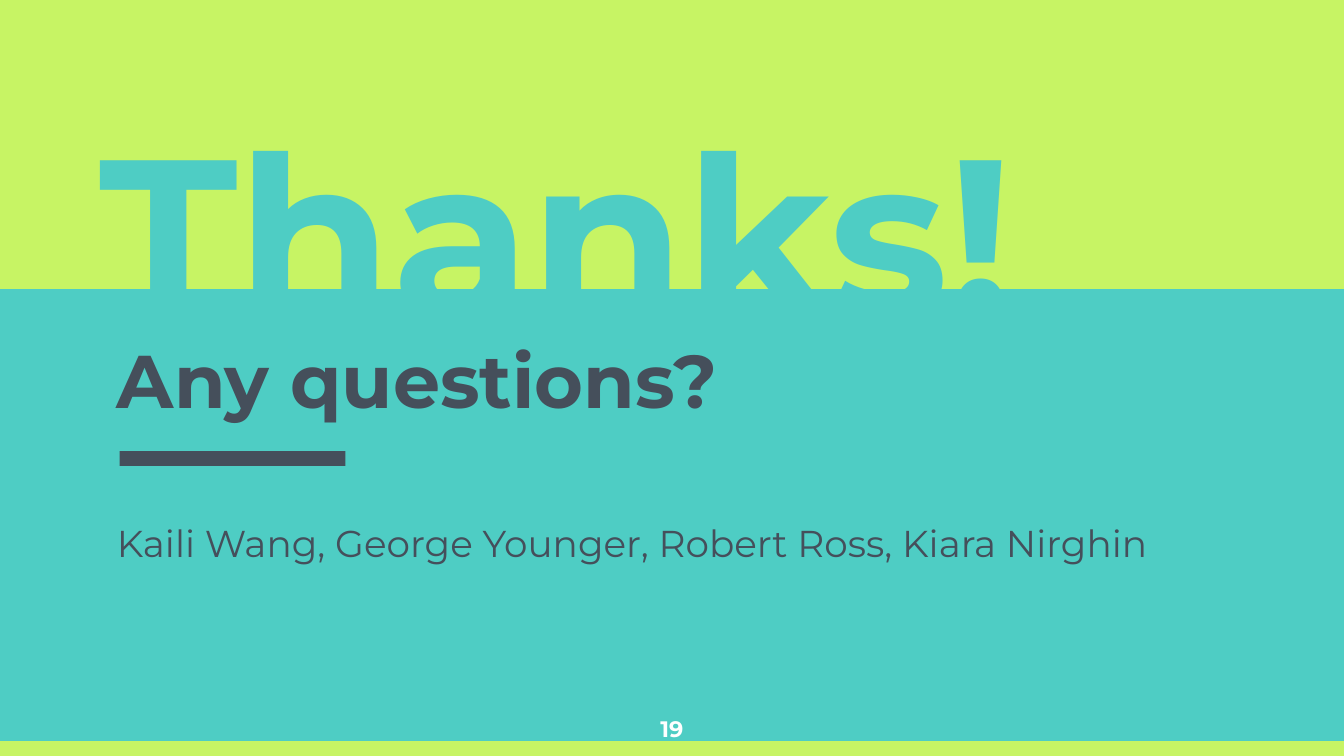
from typing import NamedTuple

from pptx import Presentation
from pptx.dml.color import RGBColor
from pptx.enum.shapes import MSO_SHAPE
from pptx.enum.text import MSO_ANCHOR as Anchor, MSO_AUTO_SIZE as AutoSize, PP_ALIGN as Align
from pptx.util import Cm, Pt

COLORS = {"teal": "4ECDC4", "lime": "C7F464", "slate": "454F5B", "white": "FFFFFF"}
FONT = "Montserrat"
INSET = Cm(0.25)
SLIDE_W, SLIDE_H = 25.4, 14.29
STRIP_H = 0.28


class Box(NamedTuple):
    """Left, top, width and height in centimetres."""
    left: float
    top: float
    width: float
    height: float

    def lengths(self) -> list:
        return [Cm(v) for v in self]


class Bar(NamedTuple):
    box: Box
    color: str


BARS = [
    Bar(Box(0, SLIDE_H - STRIP_H, SLIDE_W, STRIP_H), "lime"),
    Bar(Box(0, 0, SLIDE_W, 5.46), "lime"),
    Bar(Box(2.26, 8.53, 4.27, STRIP_H), "slate"),
]


def rgb(name: str) -> RGBColor:
    return RGBColor.from_string(COLORS[name])


def draw_bar(s, bar: Bar) -> None:
    sp = s.shapes.add_shape(MSO_SHAPE.RECTANGLE, *bar.box.lengths())
    sp.shadow.inherit = False
    sp.fill.solid()
    sp.fill.fore_color.rgb = rgb(bar.color)
    sp.line.fill.background()


def write(sp, text: str, *, size: float, color: str = "slate", bold: bool = False,
          align=Align.LEFT, anchor=Anchor.TOP) -> None:
    tf = sp.text_frame
    tf.word_wrap = True
    tf.auto_size = AutoSize.NONE
    tf.vertical_anchor = anchor
    tf.margin_left = tf.margin_right = tf.margin_top = tf.margin_bottom = INSET
    p = tf.paragraphs[0]
    p.alignment = align
    r = p.add_run()
    r.text = text
    r.font.name = FONT
    r.font.size = Pt(size)
    r.font.bold = bold
    r.font.color.rgb = rgb(color)


def add_text(s, box: Box, text: str, **fmt) -> None:
    write(s.shapes.add_textbox(*box.lengths()), text, **fmt)


def set_title(s, box: Box, text: str, **fmt) -> None:
    """Fill the title and bring it in front of the shapes drawn so far."""
    sp = s.shapes.title
    sp.left, sp.top, sp.width, sp.height = box.lengths()
    write(sp, text, **fmt)
    s.shapes.element.append(sp.element)


def main() -> None:
    prs = Presentation()
    prs.slide_width, prs.slide_height = Cm(SLIDE_W), Cm(SLIDE_H)
    s = prs.slides.add_slide(prs.slide_layouts.get_by_name("Title Only"))
    s.background.fill.solid()
    s.background.fill.fore_color.rgb = rgb("teal")

    for bar in BARS:
        draw_bar(s, bar)
    set_title(s, Box(1.63, 3.86, 18.75, 3.23), "Thanks!",
              size=120, color="teal", bold=True, anchor=Anchor.BOTTOM)
    add_text(s, Box(1.96, 6.07, 13.97, 1.75), "Any questions?", size=40, bold=True)
    add_text(s, Box(1.96, 9.58, 20.47, 3.94),
             "Kaili Wang, George Younger, Robert Ross, Kiara Nirghin", size=20)
    add_text(s, Box(11.94, 13.26, 1.52, 0.86), "19",
             size=12, color="white", bold=True, align=Align.CENTER)
    prs.save("out.pptx")


if __name__ == "__main__":
    main()
